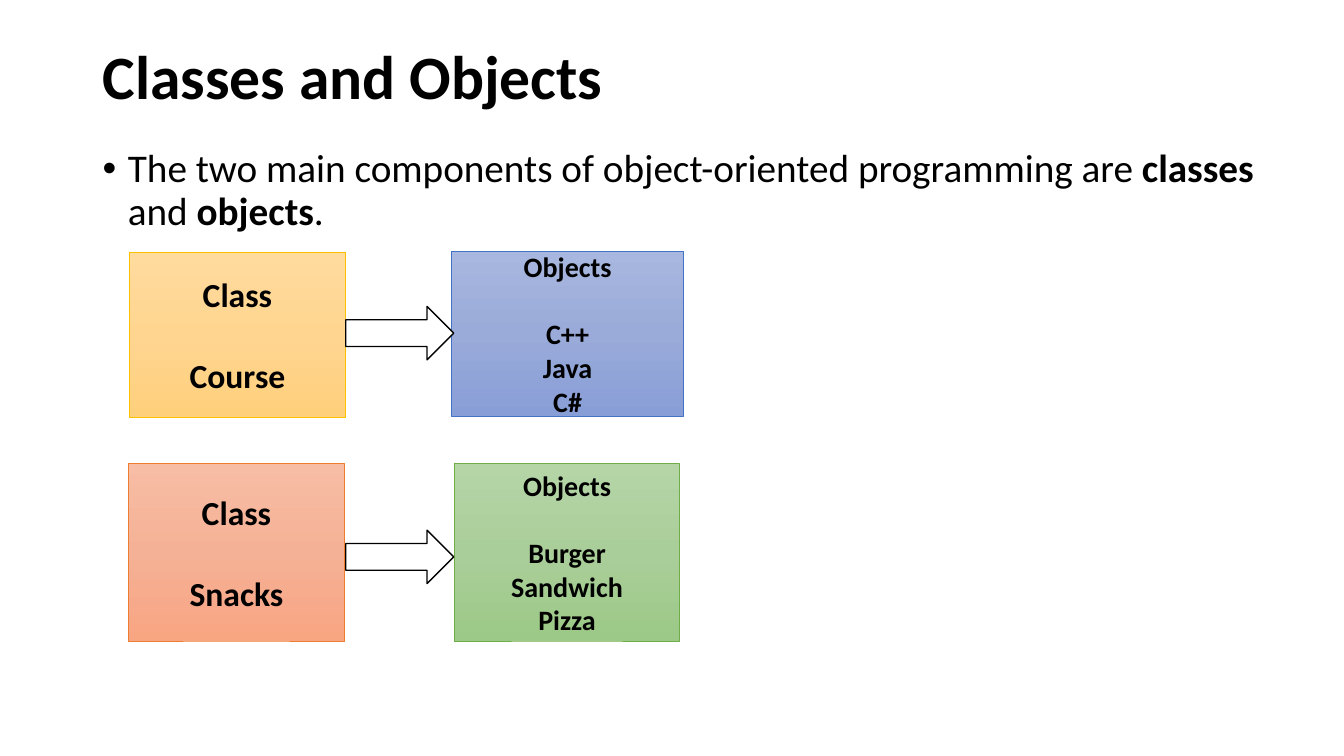
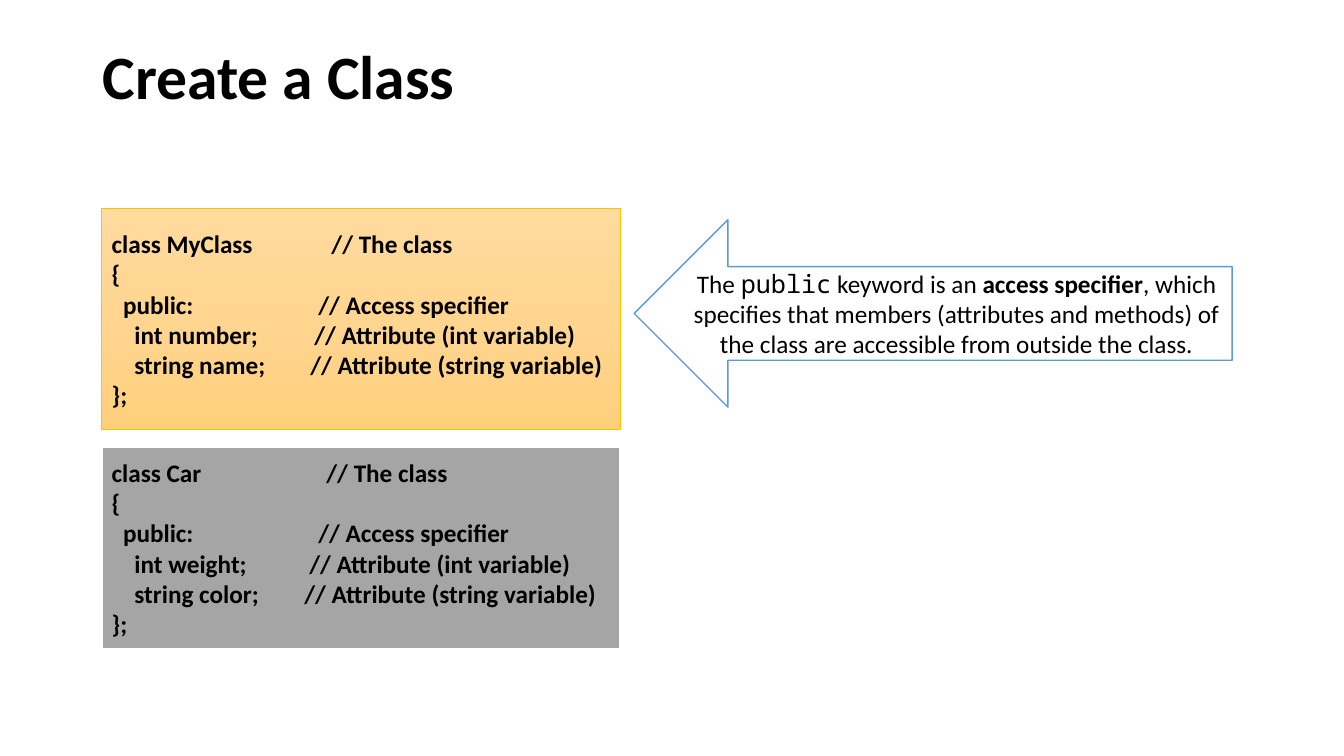
"""Build two slides on classes and objects."""
import copy

import pptx
import pptx.dml.color
import pptx.enum.shapes
import pptx.enum.text
import pptx.oxml
import pptx.oxml.ns
import pptx.util

PX = 9144
KIND = pptx.enum.shapes.MSO_SHAPE
ALIGN = pptx.enum.text.PP_ALIGN
MIDDLE = pptx.enum.text.MSO_ANCHOR.MIDDLE
TOP = pptx.enum.text.MSO_ANCHOR.TOP


class Theme:
    font = "Calibri"
    mono = "Noto Sans Mono"
    ink = "000000"
    paper = "FFFFFF"
    gray = "A5A5A5"
    sky = "5B9BD5"
    gold = ("FFDB9E", "FFD590", "FFD07C")
    blue = ("A8B7DF", "9AABD9", "889ED7")
    coral = ("F7BDA5", "F5B196", "F8A582")
    green = ("B5D5A7", "AACE9A", "9CC987")
    edge = {gold: "FFC000", blue: "4472C4", coral: "ED7D31", green: "70AD47"}
    title, body, head, item, code = 44, 28, 24, 20, 18


def write(shape, paras, size, bold=False, anchor=MIDDLE, **form):
    frame = shape.text_frame
    frame.word_wrap = True
    frame.vertical_anchor = anchor
    for num, runs in enumerate(paras):
        para = frame.paragraphs[0] if num == 0 else frame.add_paragraph()
        for key, val in form.items():
            setattr(para, key, val)
        for text, extra in [(runs, {})] if isinstance(runs, str) else runs:
            run = para.add_run()
            run.text = text
            look = {"name": Theme.font, "size": pptx.util.Pt(size), "bold": bold}
            for key, val in (look | extra).items():
                setattr(run.font, key, val)
            run.font.color.rgb = pptx.dml.color.RGBColor.from_string(Theme.ink)
    return frame.paragraphs


def draw(slide, kind, place, fill, edge, width):
    shape = slide.shapes.add_shape(kind, *(n * PX for n in place))
    shape.shadow.inherit = False
    if isinstance(fill, str):
        shape.fill.solid()
        shape.fill.fore_color.rgb = pptx.dml.color.RGBColor.from_string(fill)
    else:
        shape.fill.gradient()
        shape.fill.gradient_angle = 270
        stops = shape._element.spPr.find(".//" + pptx.oxml.ns.qn("a:gsLst"))
        stops.insert(1, copy.deepcopy(stops[0]))
        for stop, tone, spot in zip(shape.fill.gradient_stops, fill, (0, 0.5, 1)):
            stop.color.rgb = pptx.dml.color.RGBColor.from_string(tone)
            stop.position = spot
    shape.line.color.rgb = pptx.dml.color.RGBColor.from_string(edge)
    shape.line.width = pptx.util.Pt(width)
    return shape


deck = pptx.Presentation()
deck.slide_width, deck.slide_height = 1333 * PX, 750 * PX
pages = []
for name in ("Classes and Objects", "Create a Class"):
    page = deck.slides.add_slide(deck.slide_layouts[6])
    box = page.shapes.add_textbox(92 * PX, 40 * PX, 1150 * PX, 78 * PX)
    write(box, [name], Theme.title, True, line_spacing=0.9)
    pages.append(page)
first, second = pages

strong = {"bold": True}
intro = [
    ("The two main components of object-oriented programming are ", {}),
    ("classes", strong),
    (" and ", {}),
    ("objects", strong),
    (".", {}),
]
box = first.shapes.add_textbox(92 * PX, 143 * PX, 1188 * PX, 100 * PX)
para = write(box, [intro], Theme.body, anchor=TOP, line_spacing=0.9)[0]
props = para._p.get_or_add_pPr()
for key, val in {"marL": 25, "indent": -25}.items():
    props.set(key, str(val * PX))
space = pptx.oxml.ns.nsdecls("a")
for tag in ('buFont %s typeface="Arial"', 'buChar %s char="•"'):
    props.append(pptx.oxml.parse_xml("<a:" + tag % space + "/>"))

rows = [
    ((128, 250, 215, 164), Theme.gold, "Course",
     (448, 249, 230, 164), Theme.blue, ["C++", "Java", "C#"], 304),
    ((127, 460, 215, 176), Theme.coral, "Snacks",
     (451, 460, 223, 176), Theme.green, ["Burger", "Sandwich", "Pizza"], 526),
]
for left, warm, topic, right, cool, things, top in rows:
    cards = [
        (left, warm, ["Class", topic], Theme.head),
        (right, cool, ["Objects", *things], Theme.item),
    ]
    for place, fill, lines, size in cards:
        card = draw(first, KIND.RECTANGLE, place, fill, Theme.edge[fill], 0.5)
        paras = write(card, lines, size, True, alignment=ALIGN.CENTER)
        paras[1].space_before = pptx.util.Pt(round(size * 1.22))
    draw(first, KIND.RIGHT_ARROW, (343, top, 107, 53), Theme.paper, Theme.ink, 1)

notes = ["// The class", "// Access specifier",
         "// Attribute (int variable)", "// Attribute (string variable)"]
blocks = [
    ((101, 207, 514, 219), Theme.gold, Theme.edge[Theme.gold], 0.5,
     ["class MyClass", "  public:", "    int number;", "    string name;"],
     (218, 205, 201, 197)),
    ((101, 443, 514, 201), Theme.gray, Theme.paper, 1.5,
     ["class Car", "  public:", "    int weight;", "    string color;"],
     (213, 205, 196, 191)),
]
for place, fill, edge, width, code, tabs in blocks:
    block = draw(second, KIND.RECTANGLE, place, fill, edge, width)
    lines = [part + "\t" + note for part, note in zip(code, notes)]
    lines = [lines[0], "{", *lines[1:], "};"]
    paras = write(block, lines, Theme.code, True, alignment=ALIGN.LEFT)
    for para, tab in zip((paras[0], *paras[2:5]), tabs):
        para._p.get_or_add_pPr().append(pptx.oxml.parse_xml(
            f'<a:tabLst {space}><a:tab pos="{tab * PX}" algn="l"/></a:tabLst>'))

arrow = draw(second, KIND.LEFT_ARROW, (629, 218, 593, 186),
             Theme.paper, Theme.sky, 1)
hint = [
    ("The ", {}),
    ("public", {"name": Theme.mono}),
    (" keyword is an ", {}),
    ("access specifier", strong),
    (", which specifies that members (attributes and methods) of the class "
     "are accessible from outside the class.", {}),
]
write(arrow, [hint], Theme.code, alignment=ALIGN.CENTER)

deck.save("out.pptx")
